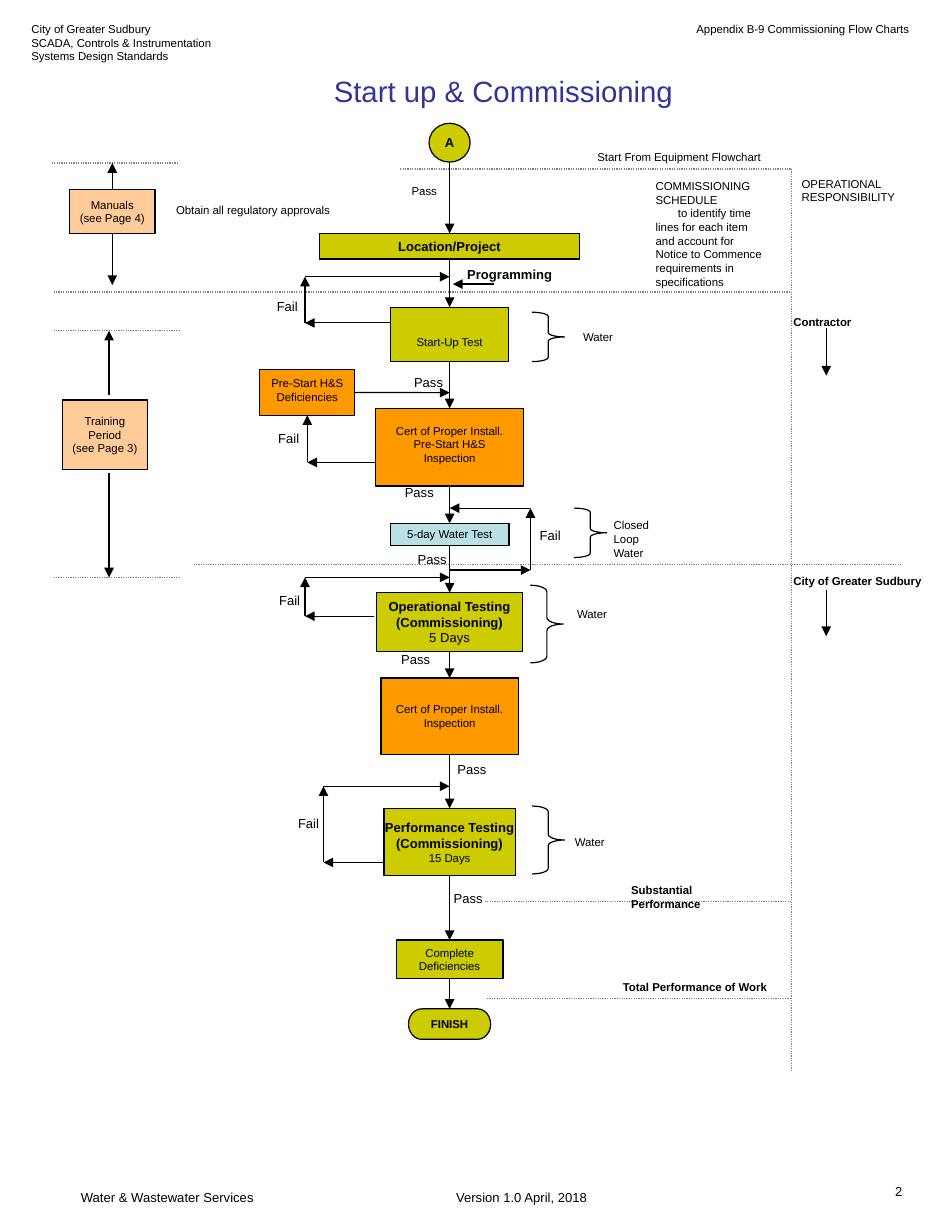
from lxml import etree
from pptx import Presentation
from pptx import util as u
from pptx.dml.color import RGBColor
from pptx.enum import dml, shapes, text
from pptx.oxml.ns import qn

SPINE = 9.73
OLIVE, ORANGE, PEACH, AQUA = "CCCC00", "FF9900", "FFCC99", "BBE0E3"
BLACK, GREY = "000000", "808080"
LEFT, CENTER, RIGHT = text.PP_ALIGN.LEFT, text.PP_ALIGN.CENTER, text.PP_ALIGN.RIGHT
KIND = shapes.MSO_SHAPE
TOP, WEST, BOTTOM, EAST = range(4)


def paint(color, value):
    color.rgb = RGBColor.from_string(value)


def add_text(tf, lines, align, color=BLACK):
    for i, (words, size, bold) in enumerate(lines):
        p = tf.paragraphs[0] if i == 0 else tf.add_paragraph()
        p.alignment = align
        r = p.add_run()
        r.text = words
        r.font.name = "Arial"
        r.font.size = u.Pt(size)
        r.font.bold = bold
        paint(r.font.color, color)


def set_insets(tf, x, top, bottom):
    tf.margin_left = tf.margin_right = u.Cm(x)
    tf.margin_top, tf.margin_bottom = u.Cm(top), u.Cm(bottom)


def add_outlined(s, kind, x, y, w, h):
    sp = s.shapes.add_shape(kind, u.Cm(x), u.Cm(y), u.Cm(w), u.Cm(h))
    sp.shadow.inherit = False
    paint(sp.line.color, BLACK)
    sp.line.width = u.Pt(0.75)
    return sp


def add_node(s, y, w, h, fill, lines, cx=SPINE, kind=KIND.FLOWCHART_PROCESS, top=0, bottom=0):
    sp = add_outlined(s, kind, cx - w / 2, y, w, h)
    sp.fill.solid()
    paint(sp.fill.fore_color, fill)
    tf = sp.text_frame
    tf.word_wrap = False
    tf.vertical_anchor = text.MSO_ANCHOR.MIDDLE
    set_insets(tf, 0, top, bottom)
    add_text(tf, lines, CENTER)
    return sp


def add_label(s, x, y, w, h, *words, size=7, bold=False, align=LEFT, color=BLACK):
    tf = s.shapes.add_textbox(u.Cm(x), u.Cm(y), u.Cm(w), u.Cm(h)).text_frame
    tf.word_wrap = True
    set_insets(tf, 0.3, 0.15, 0.15)
    add_text(tf, [(t, size, bold) for t in words], align, color)
    return tf


def add_brace(s, x, y, h, adj):
    sp = add_outlined(s, KIND.RIGHT_BRACE, x, y, 0.71, h)
    sp.fill.background()
    sp.adjustments[0] = adj


def add_line(s, x1, y1, x2, y2, color=BLACK):
    c = s.shapes.add_connector(shapes.MSO_CONNECTOR.STRAIGHT, u.Cm(x1), u.Cm(y1), u.Cm(x2), u.Cm(y2))
    paint(c.line.color, color)
    c.line.width = u.Pt(0.75)
    etree.SubElement(c._element.spPr, qn("a:effectLst"))
    return c


def add_dotted(s, x1, y1, x2, y2):
    add_line(s, x1, y1, x2, y2, GREY).line.dash_style = dml.MSO_LINE.ROUND_DOT


def add_arrow(s, x1, y1, x2, y2, start=None, end=None):
    c = add_line(s, x1, y1, x2, y2)
    etree.SubElement(c._element.spPr.find(qn("a:ln")), qn("a:tailEnd"), type="triangle")
    if start:
        c.begin_connect(*start)
    if end:
        c.end_connect(*end)


def add_loop(s, edge, x, y_out, y_back):
    add_arrow(s, edge, y_out, x, y_out)
    add_arrow(s, x, y_out, x, y_back)
    add_arrow(s, x, y_back, SPINE, y_back)


def add_guides(s):
    for x1, x2, y in [(1.12, 3.84, 3.53), (1.16, 3.89, 7.16), (1.16, 3.89, 12.5),
                      (1.16, 17.12, 6.32), (8.66, 17.12, 3.66), (4.19, 19.51, 12.22),
                      (10.49, 17.12, 19.51), (10.54, 17.14, 21.62)]:
        add_dotted(s, x1, y, x2, y)
    add_dotted(s, 17.12, 3.66, 17.12, 23.19)


def add_flow(s):
    start = add_node(s, 2.67, 0.89, 0.84, OLIVE, [("A", 8, True)], kind=KIND.OVAL)
    project = add_node(s, 5.05, 5.64, 0.56, OLIVE, [("Location/Project", 8, True)], kind=KIND.RECTANGLE)
    startup = add_node(s, 6.65, 2.54, 1.17, OLIVE, [("Start-Up Test", 7, False)],
                       kind=KIND.RECTANGLE, top=0.35)
    pre_start = add_node(s, 8.84, 3.2, 1.68, ORANGE,
                         [("Cert of Proper Install.", 7, False), ("Pre-Start H&S", 7, False),
                          ("Inspection", 7, False)], bottom=0.13)
    water = add_node(s, 11.33, 2.57, 0.48, AQUA, [("5-day Water Test", 7, False)], kind=KIND.RECTANGLE)
    operational = add_node(s, 12.83, 3.15, 1.27, OLIVE,
                           [("Operational Testing", 8, True), ("(Commissioning)", 8, True),
                            ("5 Days", 8, False)])
    inspection = add_node(s, 14.68, 2.97, 1.65, ORANGE,
                          [("Cert of Proper Install.", 7, False), ("Inspection", 7, False)])
    performance = add_node(s, 17.5, 2.84, 1.45, OLIVE,
                           [("Performance Testing", 8, True), ("(Commissioning)", 8, True),
                            ("15 Days", 7, False)], kind=KIND.RECTANGLE)
    complete = add_node(s, 20.35, 2.31, 0.84, OLIVE,
                        [("Complete", 7, False), ("Deficiencies", 7, False)])
    finish = add_node(s, 21.84, 1.78, 0.66, OLIVE, [("FINISH", 7, True)], kind=KIND.FLOWCHART_TERMINATOR)

    add_arrow(s, SPINE, 3.51, SPINE, 5.05, end=(project, TOP))
    steps = [project, startup, pre_start, water, operational, inspection, performance, complete, finish]
    for a, b in zip(steps, steps[1:]):
        add_arrow(s, SPINE, u.Length(a.top + a.height).cm, SPINE, b.top.cm, (a, BOTTOM), (b, TOP))

    deficiencies = add_node(s, 8, 2.06, 0.99, ORANGE,
                            [("Pre-Start H&S", 7, False), ("Deficiencies", 7, False)], cx=6.65, bottom=0.1)
    add_arrow(s, 8.13, 10.01, 6.65, 10.01)
    add_arrow(s, 6.65, 10.01, 6.65, 8.99, end=(deficiencies, BOTTOM))
    add_arrow(s, 7.68, 8.5, SPINE, 8.5, start=(deficiencies, EAST))
    for loop in [(8.46, 6.6, 6.99, 5.99), (8.1, 6.6, 13.34, 12.5),
                 (8.31, 7.0, 18.67, 17.02), (SPINE, 11.48, 12.34, 11)]:
        add_loop(s, *loop)
    add_arrow(s, 10.69, 6.15, 9.8, 6.15)


def add_side_tracks(s):
    manuals = add_node(s, 4.11, 1.85, 0.94, PEACH,
                       [("Manuals", 7, False), ("(see Page 4)", 7, False)], cx=2.43)
    add_node(s, 8.66, 1.85, 1.5, PEACH,
             [("Training", 7, False), ("Period", 7, False), ("(see Page 3)", 7, False)], cx=2.27)
    add_arrow(s, 2.43, 4.11, 2.43, 3.53, start=(manuals, TOP))
    add_arrow(s, 2.43, 5.05, 2.43, 6.17, start=(manuals, BOTTOM))
    for x, y1, y2 in [(2.36, 8.56, 7.16), (2.36, 10.24, 12.5), (17.88, 7.11, 8.13), (17.88, 12.78, 13.77)]:
        add_arrow(s, x, y1, x, y2)


def add_labels(s):
    for x, y in [(8.66, 7.95), (8.46, 10.34), (8.74, 11.79), (8.38, 13.95), (9.6, 16.33), (9.52, 19.13)]:
        add_label(s, x, y, 1.5, 0.63, "Pass", size=8)
    for x, y in [(5.69, 6.32), (5.72, 9.17), (5.74, 12.67), (6.15, 17.5), (11.38, 11.28)]:
        add_label(s, x, y, 1.42, 0.63, "Fail", size=8)
    for x, y in [(12.32, 6.99), (12.19, 13), (12.14, 17.93)]:
        add_label(s, x, y, 1.6, 0.61, "Water")
    add_label(s, 12.98, 11.07, 1.6, 1.24, "Closed Loop Water")
    for brace in [(11.51, 6.76, 1.07, 0.13), (11.48, 12.67, 1.68, 0.2),
                  (11.51, 17.45, 1.47, 0.17), (12.42, 11, 1.07, 0.13)]:
        add_brace(s, *brace)
    add_label(s, 8.61, 3.84, 1.65, 0.61, "Pass")
    add_label(s, 9.81, 5.61, 3.1, 0.63, "Programming", size=8, bold=True)
    add_label(s, 12.63, 3.1, 4.4, 0.63, "Start From Equipment Flowchart")
    add_label(s, 3.51, 4.24, 4.2, 0.63, "Obtain all regulatory approvals")
    add_label(s, 17.05, 3.68, 3.1, 0.94, "OPERATIONAL RESPONSIBILITY")
    tf = add_label(s, 13.89, 3.73, 3.05, 3.15, "COMMISSIONING SCHEDULE",
                   "to identify time lines for each item and account for "
                   "Notice to Commence requirements in specifications")
    tf.paragraphs[1]._p.get_or_add_pPr().set("indent", str(u.Cm(0.48)))
    for x, y, w, h, words in [(16.87, 6.68, 2.17, 0.63, "Contractor"),
                              (16.87, 12.29, 3.5, 0.63, "City of Greater Sudbury"),
                              (13.36, 18.97, 3.1, 0.94, "Substantial Performance"),
                              (13.18, 21.06, 3.9, 0.61, "Total Performance of Work")]:
        add_label(s, x, y, w, h, words, bold=True)


def add_page_text(s):
    tf = add_label(s, 2.26, 1.5, 17.27, 0.94, "Start up & Commissioning",
                   size=18, align=CENTER, color="333399")
    tf.vertical_anchor = text.MSO_ANCHOR.MIDDLE
    add_label(s, 0.38, 0.33, 4.72, 1.85, "City of Greater Sudbury",
              "SCADA, Controls & Instrumentation Systems Design Standards")
    add_label(s, 13.54, 0.33, 6.43, 0.94, "Appendix B-9 Commissioning Flow Charts", align=RIGHT)
    add_label(s, 1.45, 25.6, 7, 0.53, "Water & Wastewater Services", size=8)
    add_label(s, 8.46, 25.6, 5.66, 0.53, "Version 1.0 April, 2018", size=8, align=CENTER)
    add_label(s, 15.11, 25.48, 4.72, 0.74, "2", size=8, align=RIGHT)


def main():
    prs = Presentation()
    prs.slide_width, prs.slide_height = u.Cm(20.32), u.Cm(26.67)
    s = prs.slides.add_slide(prs.slide_layouts[6])
    add_guides(s)
    add_flow(s)
    add_side_tracks(s)
    add_labels(s)
    add_page_text(s)
    prs.save("out.pptx")


if __name__ == "__main__":
    main()
